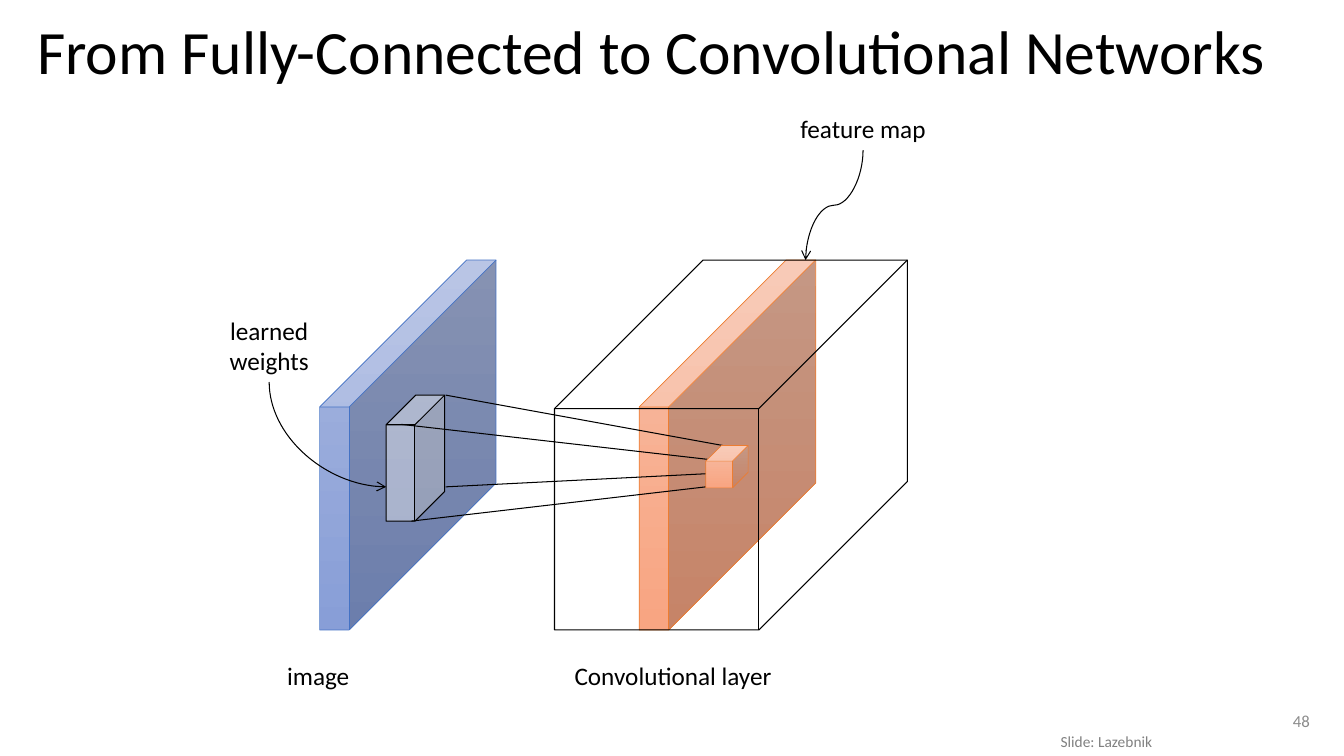
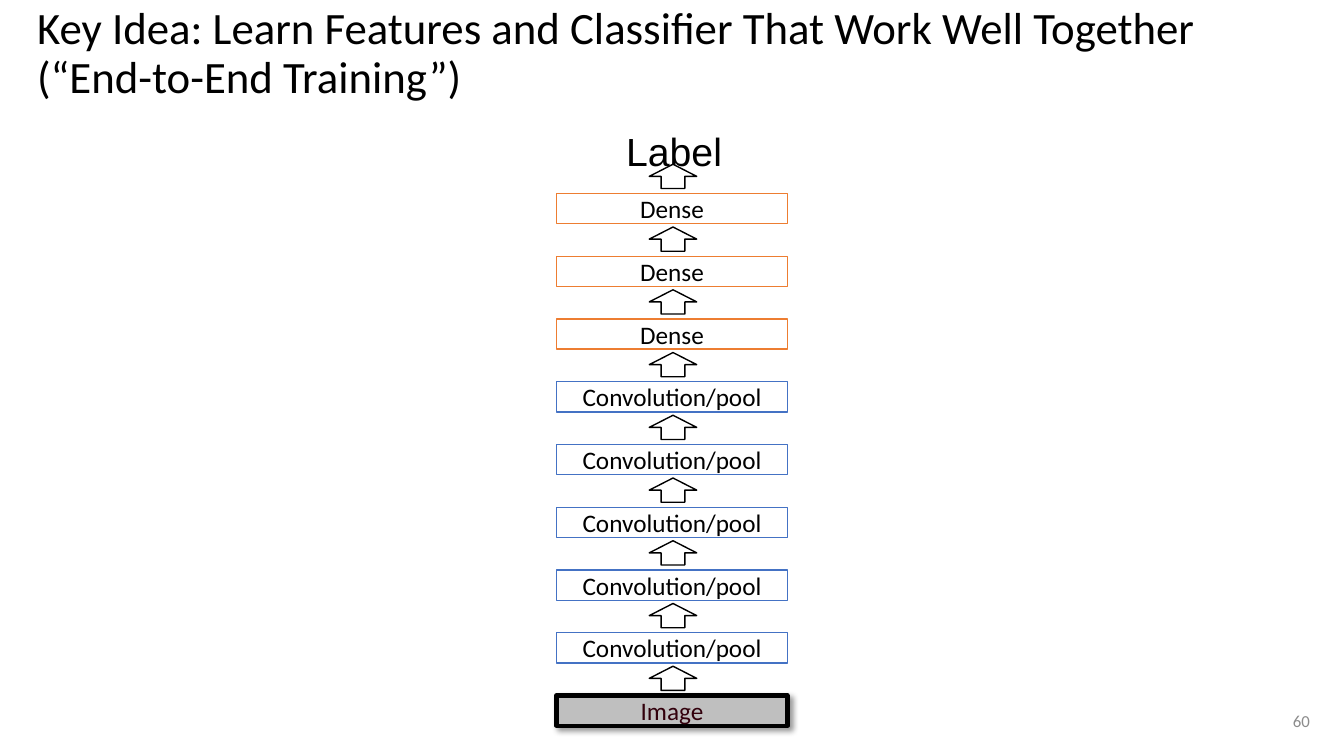
import pptx
import pptx.util
from pptx.dml.color import RGBColor
from pptx.enum.shapes import MSO_CONNECTOR, MSO_SHAPE
from pptx.enum.text import MSO_ANCHOR, MSO_AUTO_SIZE, PP_ALIGN
from pptx.oxml.ns import qn
from lxml import etree

PX = 9144  # 100 px to the inch
SLIDE_SIZE = (1333, 750)
BODY_FONT, LABEL_FONT = "Calibri", "Arial"

BLACK = RGBColor(0, 0, 0)
WHITE = RGBColor(255, 255, 255)
BLUE = RGBColor(0x44, 0x72, 0xC4)
ORANGE = RGBColor(0xED, 0x7D, 0x31)
BLUE_FADE = (RGBColor(0xA8, 0xB7, 0xDF), RGBColor(0x88, 0x9E, 0xD7))
ORANGE_FADE = (RGBColor(0xF7, 0xBD, 0xA5), RGBColor(0xF8, 0xA5, 0x82))
SILVER = RGBColor(0xBF, 0xBF, 0xBF)
MAROON = RGBColor(0x32, 0, 0x0C)
CREDIT_GREY = RGBColor(0x80, 0x80, 0x80)
NUMBER_GREY = RGBColor(0x8C, 0x8C, 0x8C)

TITLE_BOX = (27, 15, 1282, 78)
NUMBER_BOX = (1253, 695, 56, 40)

NETWORK_TITLE = "From Fully-Connected to Convolutional Networks"
TRAINING_TITLE = ("Key Idea: Learn Features and Classifier That Work Well Together "
                  "(“End-to-End Training”)")

# box, depth, fade, line colour, line width
IMAGE_CUBE = ((317, 258, 175, 367), 0.833, BLUE_FADE, BLUE, 0.5)
WEIGHTS_CUBE = ((383, 392, 58, 125), 0.507, None, BLACK, 0.75)
FEATURE_CUBE = ((634, 258, 175, 367), 0.833, ORANGE_FADE, ORANGE, 0.5)
UNIT_CUBE = ((700, 442, 42, 42), 0.369, ORANGE_FADE, ORANGE, 0.5)
LAYER_CUBE = ((550, 258, 350, 367), 0.421, None, BLACK, 0.75)
WEIGHTS_ALPHA = 39

PROJECTION_LINES = [
    ((442, 392), (717, 442)),
    ((398, 421), (713, 457)),
    ((408, 517), (700, 483)),
    ((442, 483), (700, 470)),
]
CURVED_ARROWS = [
    ((856, 149), (799, 258), "curvedConnector3"),
    ((267, 379), (383, 483), "curvedConnector2"),
]
# text, box, size, colour
CAPTIONS = [
    ("image", (275, 650, 83, 40), 18, BLACK),
    ("feature map", (784, 108, 146, 40), 18, BLACK),
    ("Convolutional layer", (560, 650, 218, 40), 18, BLACK),
    ("Slide: Lazebnik", (1042, 721, 112, 29), 11, CREDIT_GREY),
]

# from bottom to top: text, fill, line colour, line width, text colour
LAYERS = (
    [("Image", SILVER, BLACK, 3, MAROON)]
    + [("Convolution/pool", WHITE, BLUE, 1, BLACK)] * 5
    + [("Dense", WHITE, ORANGE, 1, BLACK)] * 3
)
LAYER_LEFT, LAYER_BOTTOM_ROW, LAYER_WIDTH, LAYER_HEIGHT = 552, 690, 229, 30
LAYER_PITCH = 62.25
ARROW_LEFT, ARROW_BOTTOM_ROW, ARROW_WIDTH, ARROW_HEIGHT = 644, 661, 47, 24


def emu(*lengths):
    return [pptx.util.Emu(round(length * PX)) for length in lengths]


def write(shape, text, size, color, align=PP_ALIGN.LEFT, font=BODY_FONT):
    paragraph = shape.text_frame.paragraphs[0]
    paragraph.text = text
    paragraph.alignment = align
    paragraph.font.name = font
    paragraph.font.size = pptx.util.Pt(size)
    paragraph.font.color.rgb = color
    return paragraph


def add_text(slide, box, text, size, color=BLACK, align=PP_ALIGN.LEFT,
             font=BODY_FONT, wrap=True, anchor=MSO_ANCHOR.TOP):
    shape = slide.shapes.add_textbox(*emu(*box))
    frame = shape.text_frame
    frame.word_wrap = wrap
    frame.vertical_anchor = anchor
    if not wrap:
        frame.auto_size = MSO_AUTO_SIZE.SHAPE_TO_FIT_TEXT
    return write(shape, text, size, color, align, font)


def add_base(presentation, title, title_size, number):
    """Add a slide with the shared title and page number."""
    slide = presentation.slides.add_slide(presentation.slide_layouts[6])
    paragraph = add_text(slide, TITLE_BOX, title, title_size, anchor=MSO_ANCHOR.MIDDLE)
    paragraph.line_spacing = 0.9
    add_text(slide, NUMBER_BOX, str(number), 12, NUMBER_GREY,
             PP_ALIGN.RIGHT, anchor=MSO_ANCHOR.MIDDLE)
    return slide


def add_outlined(slide, kind, box, fill, line_color, line_width):
    shape = slide.shapes.add_shape(kind, *emu(*box))
    shape.shadow.inherit = False
    if fill is None:
        shape.fill.background()
    else:
        shape.fill.solid()
        shape.fill.fore_color.rgb = fill
    shape.line.color.rgb = line_color
    shape.line.width = pptx.util.Pt(line_width)
    return shape


def add_cube(slide, box, depth, fade, line_color, line_width):
    cube = add_outlined(slide, MSO_SHAPE.CUBE, box, None, line_color, line_width)
    cube.adjustments[0] = depth
    if fade:
        cube.fill.gradient()
        cube.fill.gradient_angle = 270
        for position, (stop, color) in enumerate(zip(cube.fill.gradient_stops, fade)):
            stop.position = position
            stop.color.rgb = color
    return cube


def make_translucent(shape, percent):
    shape.fill.solid()
    shape.fill.fore_color.rgb = WHITE
    color = shape.element.spPr.find(qn("a:solidFill")).find(qn("a:srgbClr"))
    etree.SubElement(color, qn("a:alpha")).set("val", str(percent * 1000))


def add_line(slide, start, end, kind=MSO_CONNECTOR.STRAIGHT):
    connector = slide.shapes.add_connector(kind, *emu(*start, *end))
    connector.line.color.rgb = BLACK
    connector.line.width = pptx.util.Pt(0.75)
    etree.SubElement(connector.element.spPr, qn("a:effectLst"))
    return connector


def add_curved_arrow(slide, start, end, preset):
    """Add a curve that leaves its start downwards."""
    middle_x, middle_y = (start[0] + end[0]) / 2, (start[1] + end[1]) / 2
    half_width, half_height = abs(end[1] - start[1]) / 2, abs(end[0] - start[0]) / 2
    rightward = end[0] > start[0]
    if rightward:
        half_width = -half_width
    connector = add_line(slide, (middle_x - half_width, middle_y - half_height),
                         (middle_x + half_width, middle_y + half_height),
                         MSO_CONNECTOR.CURVE)
    properties = connector.element.spPr
    properties.find(qn("a:xfrm")).set("rot", str((270 if rightward else 90) * 60000))
    properties.find(qn("a:prstGeom")).set("prst", preset)
    etree.SubElement(properties.find(qn("a:ln")), qn("a:tailEnd")).set("type", "arrow")


def add_drop_shadow(shape):
    effects = shape.element.spPr.find(qn("a:effectLst"))
    shadow = etree.SubElement(effects, qn("a:outerShdw"), blurRad="50800",
                              dist="38100", dir="2700000")
    color = etree.SubElement(shadow, qn("a:srgbClr"), val=str(BLACK))
    etree.SubElement(color, qn("a:alpha"), val="40000")


def build_network_slide(presentation):
    slide = add_base(presentation, NETWORK_TITLE, 44, 48)
    add_cube(slide, *IMAGE_CUBE)
    make_translucent(add_cube(slide, *WEIGHTS_CUBE), WEIGHTS_ALPHA)
    add_cube(slide, *FEATURE_CUBE)
    for start, end in PROJECTION_LINES:
        add_line(slide, start, end)
    add_cube(slide, *UNIT_CUBE)
    for start, end, preset in CURVED_ARROWS:
        add_curved_arrow(slide, start, end, preset)
    for text, box, size, color in CAPTIONS:
        add_text(slide, box, text, size, color, wrap=False)
    add_text(slide, (192, 308, 150, 71), "learned weights", 18, align=PP_ALIGN.CENTER)
    add_cube(slide, *LAYER_CUBE)


def build_training_slide(presentation):
    slide = add_base(presentation, TRAINING_TITLE, 32, 60)
    add_text(slide, (610, 121, 117, 57), "Label", 28, align=PP_ALIGN.CENTER,
             font=LABEL_FONT, wrap=False)
    for row, (text, fill, line_color, line_width, color) in enumerate(LAYERS):
        rise = row * LAYER_PITCH
        box = (LAYER_LEFT, LAYER_BOTTOM_ROW - rise, LAYER_WIDTH, LAYER_HEIGHT)
        layer = add_outlined(slide, MSO_SHAPE.RECTANGLE, box, fill, line_color, line_width)
        layer.text_frame.vertical_anchor = MSO_ANCHOR.MIDDLE
        write(layer, text, 18, color, PP_ALIGN.CENTER)
        if row == 0:
            add_drop_shadow(layer)
        box = (ARROW_LEFT, ARROW_BOTTOM_ROW - rise, ARROW_WIDTH, ARROW_HEIGHT)
        add_outlined(slide, MSO_SHAPE.UP_ARROW, box, WHITE, BLACK, 1)


def main():
    presentation = pptx.Presentation()
    presentation.slide_width, presentation.slide_height = emu(*SLIDE_SIZE)
    build_network_slide(presentation)
    build_training_slide(presentation)
    presentation.save("out.pptx")


if __name__ == "__main__":
    main()
